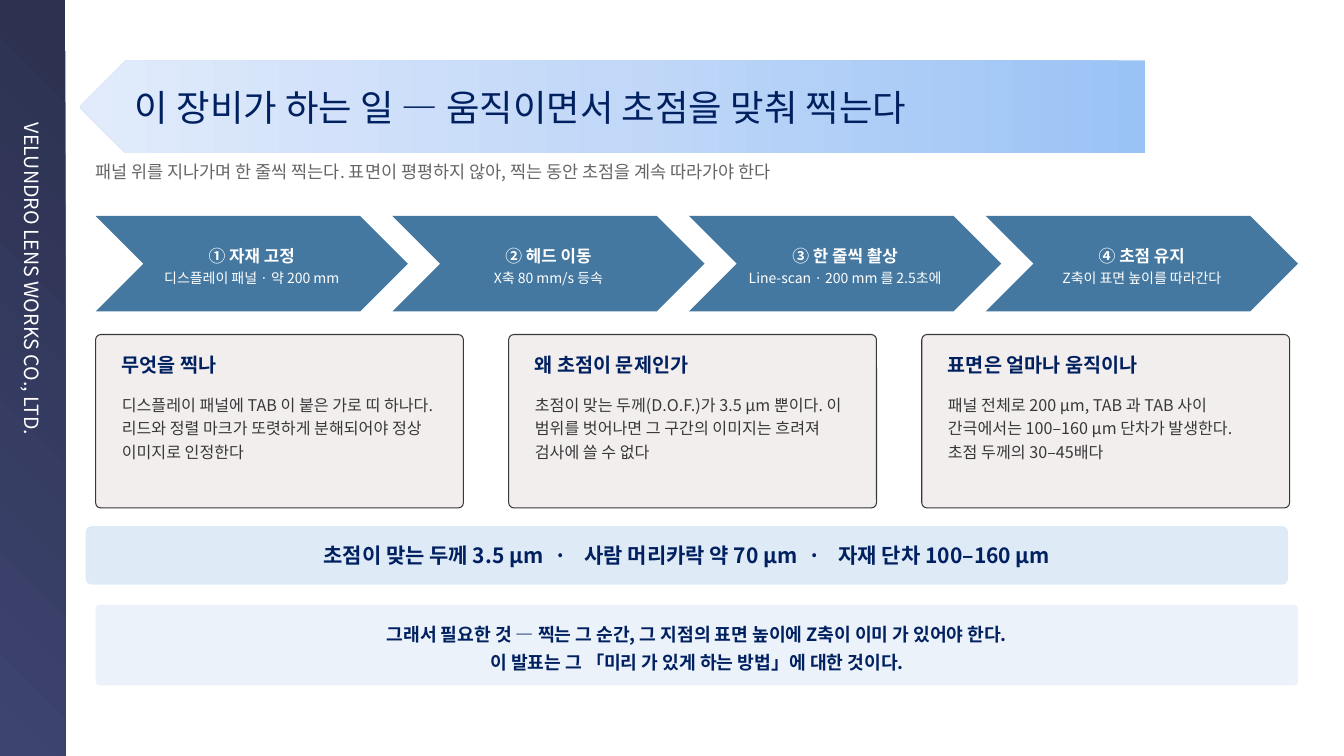
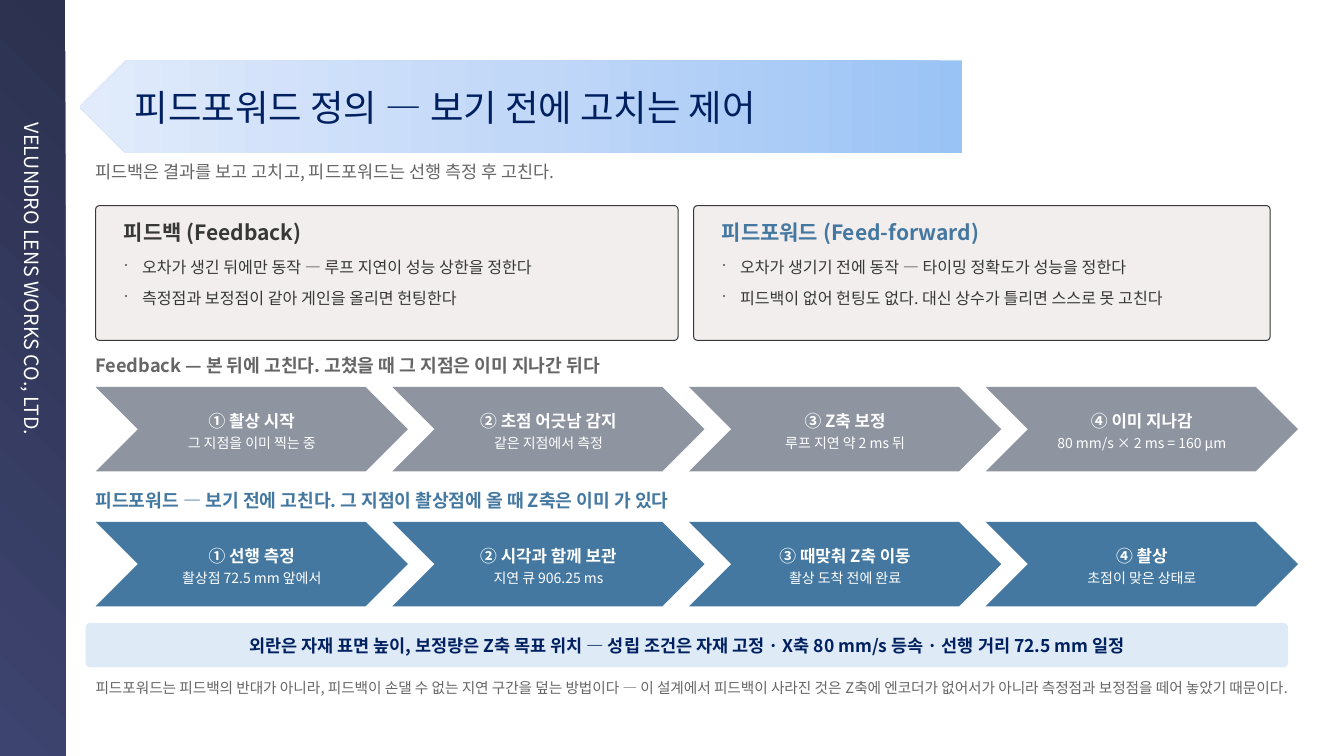
from dataclasses import dataclass

from lxml import etree
from pptx import Presentation
from pptx.dml.color import RGBColor
from pptx.enum.shapes import MSO_SHAPE
from pptx.enum.text import MSO_ANCHOR, MSO_AUTO_SIZE, PP_ALIGN
from pptx.oxml.ns import qn
from pptx.util import Cm, Pt

RECT, ROUNDED = MSO_SHAPE.RECTANGLE, MSO_SHAPE.ROUNDED_RECTANGLE
PENTAGON, CHEVRON = MSO_SHAPE.PENTAGON, MSO_SHAPE.CHEVRON
LEFT, CENTER = PP_ALIGN.LEFT, PP_ALIGN.CENTER
TOP, MIDDLE = MSO_ANCHOR.TOP, MSO_ANCHOR.MIDDLE
GROW = MSO_AUTO_SIZE.SHAPE_TO_FIT_TEXT


@dataclass(frozen=True)
class Theme:
    font: str = "Noto Sans CJK KR"
    # Colours
    navy: str = "002060"
    steel: str = "4478A0"
    slate: str = "8E95A1"
    ink: str = "383838"
    muted: str = "666666"
    white: str = "FFFFFF"
    card: str = "F2EEEE"
    band: str = "DEEAF6"
    pale_band: str = "EBF2F9"
    sidebar: tuple = ("2C314F", "3D446F")
    banner: tuple = ("9AC3F5", "C2D8F8", "E1EBFB")
    # Type sizes
    title: float = 26
    subtitle: float = 12.5
    company: float = 14
    step: float = 12
    detail: float = 10
    body: float = 11.5
    label: float = 13
    note: float = 10.5


THEME = Theme()
SLIDE_W, SLIDE_H = 33.87, 19.05
MARGIN, CONTENT_W = 2.41, 30.3
BAND_LEFT = 2.16
PANEL_INSETS = (0.15, 0.05, 0.15, 0.05)


@dataclass(frozen=True)
class Box:
    """Left, top, width and height in centimetres."""
    x: float
    y: float
    w: float
    h: float

    def lengths(self):
        return Cm(self.x), Cm(self.y), Cm(self.w), Cm(self.h)


@dataclass(frozen=True)
class Words:
    text: str
    size: float
    color: str
    bold: bool = False
    tracking: int = 0


@dataclass(frozen=True)
class CardStyle:
    inset: float
    heading_top: float
    heading_size: float
    body_top: float
    body_h: float
    line_spacing: float
    bullets: bool = False


TOPIC_CARD = CardStyle(0.66, 0.46, 14, 1.42, 2.59, 1.22)
CONTROL_CARD = CardStyle(0.71, 0.36, 15, 1.22, 1.88, 1.2, bullets=True)


# Text
def add_bullet(paragraph):
    props = paragraph._p.get_or_add_pPr()
    props.set("marL", str(Cm(0.46)))
    props.set("indent", str(-Cm(0.46)))
    etree.SubElement(props, qn("a:buSzPct")).set("val", "90000")
    etree.SubElement(props, qn("a:buChar")).set("char", "·")


def write(frame, paragraphs, align=LEFT, anchor=TOP, insets=(0, 0, 0, 0),
          line_spacing=None, bullets=False):
    """Fill a text frame; each paragraph is a list of Words."""
    frame.word_wrap = True
    frame.vertical_anchor = anchor
    (frame.margin_left, frame.margin_top,
     frame.margin_right, frame.margin_bottom) = map(Cm, insets)
    for index, parts in enumerate(paragraphs):
        paragraph = frame.add_paragraph() if index else frame.paragraphs[0]
        if bullets:
            add_bullet(paragraph)
            paragraph.space_after = Pt(5)
        paragraph.alignment = align
        if line_spacing:
            paragraph.line_spacing = line_spacing
        for words in parts:
            run = paragraph.add_run()
            run.text = words.text
            font = run.font
            font.size, font.bold = Pt(words.size), words.bold
            font.color.rgb = RGBColor.from_string(words.color)
            font.name = THEME.font
            props = run._r.get_or_add_rPr()
            etree.SubElement(props, qn("a:ea")).set("typeface", THEME.font)
            if words.tracking:
                props.set("spc", str(words.tracking))


def draw_text(slide, box, paragraphs, **layout):
    frame = slide.shapes.add_textbox(*box.lengths()).text_frame
    write(frame, paragraphs, **layout)
    frame.auto_size = GROW
    return frame


# Shapes
def draw_shape(slide, kind, box, fill=None, outline=None, corner=None):
    shape = slide.shapes.add_shape(kind, *box.lengths())
    shape.shadow.inherit = False
    if fill:
        shape.fill.solid()
        shape.fill.fore_color.rgb = RGBColor.from_string(fill)
    if outline:
        shape.line.color.rgb = RGBColor.from_string(outline)
        shape.line.width = Pt(0.75)
    else:
        shape.line.fill.background()
    if corner is not None:
        shape.adjustments[0] = corner
    return shape


def fill_gradient(shape, colors, angle):
    shape.fill.gradient()
    shape.fill.gradient_angle = -angle % 360
    stops = shape.element.spPr.find(qn("a:gradFill")).find(qn("a:gsLst"))
    for stop in list(stops):
        stops.remove(stop)
    for index, color in enumerate(colors):
        stop = etree.SubElement(stops, qn("a:gs"))
        stop.set("pos", str(100000 * index // (len(colors) - 1)))
        etree.SubElement(stop, qn("a:srgbClr")).set("val", color)


# Shared frame
def move_sidebar_to_layout(slide):
    """Draw the company strip and hand it to the layout all slides use."""
    thickness = 1.65
    offset = (SLIDE_H - thickness) / 2
    strip = draw_shape(slide, RECT, Box(-offset, offset, SLIDE_H, thickness))
    strip.rotation = 90
    fill_gradient(strip, THEME.sidebar, 45)
    write(strip.text_frame,
          [[Words("VELUNDRO LENS WORKS CO., LTD.", THEME.company, THEME.white)]],
          anchor=MIDDLE, insets=(3.1, 0.13, 0.25, 0.13))
    slide.slide_layout.shapes.element.append(strip.element)


def draw_header(slide, box, title, subtitle):
    banner = draw_shape(slide, PENTAGON, box)
    banner.element.spPr.xfrm.set("flipH", "1")
    fill_gradient(banner, THEME.banner, 0)
    frame = draw_text(slide, Box(box.x + 1.39, box.y, box.w - 2.49, box.h),
                      [[Words(title, THEME.title, THEME.navy)]], anchor=MIDDLE)
    frame.word_wrap = False
    draw_text(slide, Box(MARGIN, box.y + 2.54, CONTENT_W, 0.86),
              [[Words(subtitle, THEME.subtitle, THEME.muted)]])


# Content regions
def draw_steps(slide, box, color, steps):
    """Row of chevrons, evenly pitched across the box."""
    step_w = 7.87
    pitch = (box.w - step_w) / (len(steps) - 1)
    for index, (name, detail) in enumerate(steps):
        arrow = draw_shape(slide, CHEVRON,
                           Box(box.x + index * pitch, box.y, step_w, box.h), color)
        write(arrow.text_frame,
              [[Words(name, THEME.step, THEME.white, True)],
               [Words(detail, THEME.detail, THEME.white)]],
              align=CENTER, anchor=MIDDLE, insets=PANEL_INSETS, line_spacing=1.2)


def draw_card(slide, box, style, heading, heading_color, body):
    draw_shape(slide, ROUNDED, box, THEME.card, THEME.ink, corner=0.03)
    x, w = box.x + style.inset, box.w - 2 * style.inset
    draw_text(slide, Box(x, box.y + style.heading_top, w, 0.76),
              [[Words(heading, style.heading_size, heading_color, True)]])
    draw_text(slide, Box(x, box.y + style.body_top, w, style.body_h),
              [[Words(text, THEME.body, THEME.ink)] for text in body],
              line_spacing=style.line_spacing, bullets=style.bullets)


def draw_band(slide, box, fill, corner, paragraphs, line_spacing=None):
    band = draw_shape(slide, ROUNDED, box, fill, corner=corner)
    write(band.text_frame, paragraphs, align=CENTER, anchor=MIDDLE,
          insets=PANEL_INSETS, line_spacing=line_spacing)


def draw_flow(slide, box, caption, caption_color, step_color, steps):
    """Caption above a row of steps."""
    draw_text(slide, Box(box.x, box.y, box.w, 0.71),
              [[Words(caption, THEME.label, caption_color, True)]])
    draw_steps(slide, Box(box.x, box.y + 0.81, box.w, box.h - 0.81),
               step_color, steps)


# Slides
def build_overview(slide):
    draw_header(slide, Box(2.01, 1.52, 26.85, 2.34),
                "이 장비가 하는 일 — 움직이면서 초점을 맞춰 찍는다",
                "패널 위를 지나가며 한 줄씩 찍는다. 표면이 평평하지 않아, 찍는 동안 초점을 계속 따라가야 한다")
    draw_steps(slide, Box(MARGIN, 5.44, CONTENT_W, 2.41), THEME.steel, [
        ("① 자재 고정", "디스플레이 패널 · 약 200 mm"),
        ("② 헤드 이동", "X축 80 mm/s 등속"),
        ("③ 한 줄씩 촬상", "Line-scan · 200 mm 를 2.5초에"),
        ("④ 초점 유지", "Z축이 표면 높이를 따라간다"),
    ])
    topics = [
        ("무엇을 찍나",
         "디스플레이 패널에 TAB 이 붙은 가로 띠 하나다. 리드와 정렬 마크가 또렷하게 분해되어야 정상 이미지로 인정한다"),
        ("왜 초점이 문제인가",
         "초점이 맞는 두께(D.O.F.)가 3.5 µm 뿐이다. 이 범위를 벗어나면 그 구간의 이미지는 흐려져 검사에 쓸 수 없다"),
        ("표면은 얼마나 움직이나",
         "패널 전체로 200 µm, TAB 과 TAB 사이 간극에서는 100–160 µm 단차가 발생한다. 초점 두께의 30–45배다"),
    ]
    card_w, gap = 9.27, 1.14
    for index, (heading, body) in enumerate(topics):
        draw_card(slide, Box(MARGIN + index * (card_w + gap), 8.43, card_w, 4.37),
                  TOPIC_CARD, heading, THEME.navy, [body])

    # Scale comparison, with widely tracked separators
    scale = []
    for figure in ("초점이 맞는 두께 3.5 µm", "사람 머리카락 약 70 µm", "자재 단차 100–160 µm"):
        if scale:
            scale.append(Words(" · ", 15, THEME.navy, True, tracking=450))
        scale.append(Words(figure, 15, THEME.navy, True))
    draw_band(slide, Box(BAND_LEFT, 13.26, CONTENT_W, 1.47), THEME.band, 0.1, [scale])

    # Conclusion
    conclusion = ("그래서 필요한 것 — 찍는 그 순간, 그 지점의 표면 높이에 Z축이 이미 가 있어야 한다.",
                  "이 발표는 그 「미리 가 있게 하는 방법」에 대한 것이다.")
    draw_band(slide, Box(MARGIN, 15.24, CONTENT_W, 2.03), THEME.pale_band, 0.05,
              [[Words(line, THEME.label, THEME.navy, True)] for line in conclusion],
              line_spacing=1.3)


def build_definition(slide):
    draw_header(slide, Box(2.01, 1.52, 22.23, 2.34),
                "피드포워드 정의 — 보기 전에 고치는 제어",
                "피드백은 결과를 보고 고치고, 피드포워드는 선행 측정 후 고친다.")
    draw_card(slide, Box(MARGIN, 5.18, 14.68, 3.4), CONTROL_CARD,
              "피드백 (Feedback)", THEME.ink,
              ["오차가 생긴 뒤에만 동작 — 루프 지연이 성능 상한을 정한다",
               "측정점과 보정점이 같아 게인을 올리면 헌팅한다"])
    draw_card(slide, Box(17.48, 5.18, 14.53, 3.4), CONTROL_CARD,
              "피드포워드 (Feed-forward)", THEME.steel,
              ["오차가 생기기 전에 동작 — 타이밍 정확도가 성능을 정한다",
               "피드백이 없어 헌팅도 없다. 대신 상수가 틀리면 스스로 못 고친다"])
    draw_flow(slide, Box(MARGIN, 8.94, CONTENT_W, 2.94),
              "Feedback — 본 뒤에 고친다. 고쳤을 때 그 지점은 이미 지나간 뒤다",
              THEME.muted, THEME.slate, [
                  ("① 촬상 시작", "그 지점을 이미 찍는 중"),
                  ("② 초점 어긋남 감지", "같은 지점에서 측정"),
                  ("③ Z축 보정", "루프 지연 약 2 ms 뒤"),
                  ("④ 이미 지나감", "80 mm/s × 2 ms = 160 µm"),
              ])
    draw_flow(slide, Box(MARGIN, 12.34, CONTENT_W, 2.94),
              "피드포워드 — 보기 전에 고친다. 그 지점이 촬상점에 올 때 Z축은 이미 가 있다",
              THEME.steel, THEME.steel, [
                  ("① 선행 측정", "촬상점 72.5 mm 앞에서"),
                  ("② 시각과 함께 보관", "지연 큐 906.25 ms"),
                  ("③ 때맞춰 Z축 이동", "촬상 도착 전에 완료"),
                  ("④ 촬상", "초점이 맞은 상태로"),
              ])
    draw_band(slide, Box(BAND_LEFT, 15.7, CONTENT_W, 1.12), THEME.band, 0.1,
              [[Words("외란은 자재 표면 높이, 보정량은 Z축 목표 위치 — 성립 조건은 자재 고정 · X축 80 mm/s 등속 · 선행 거리 72.5 mm 일정",
                      THEME.subtitle, THEME.navy, True)]])
    draw_text(slide, Box(MARGIN, 17.07, 30.05, 0.76),
              [[Words("피드포워드는 피드백의 반대가 아니라, 피드백이 손댈 수 없는 지연 구간을 덮는 방법이다 — 이 설계에서 피드백이 사라진 것은 Z축에 엔코더가 없어서가 아니라 측정점과 보정점을 떼어 놓았기 때문이다.",
                      THEME.note, THEME.muted)]], line_spacing=1.1)


def main():
    prs = Presentation()
    prs.slide_width, prs.slide_height = Cm(SLIDE_W), Cm(SLIDE_H)
    blank = prs.slide_layouts[6]
    overview, definition = (prs.slides.add_slide(blank) for _ in range(2))
    move_sidebar_to_layout(overview)
    build_overview(overview)
    build_definition(definition)
    prs.save("out.pptx")


if __name__ == "__main__":
    main()
